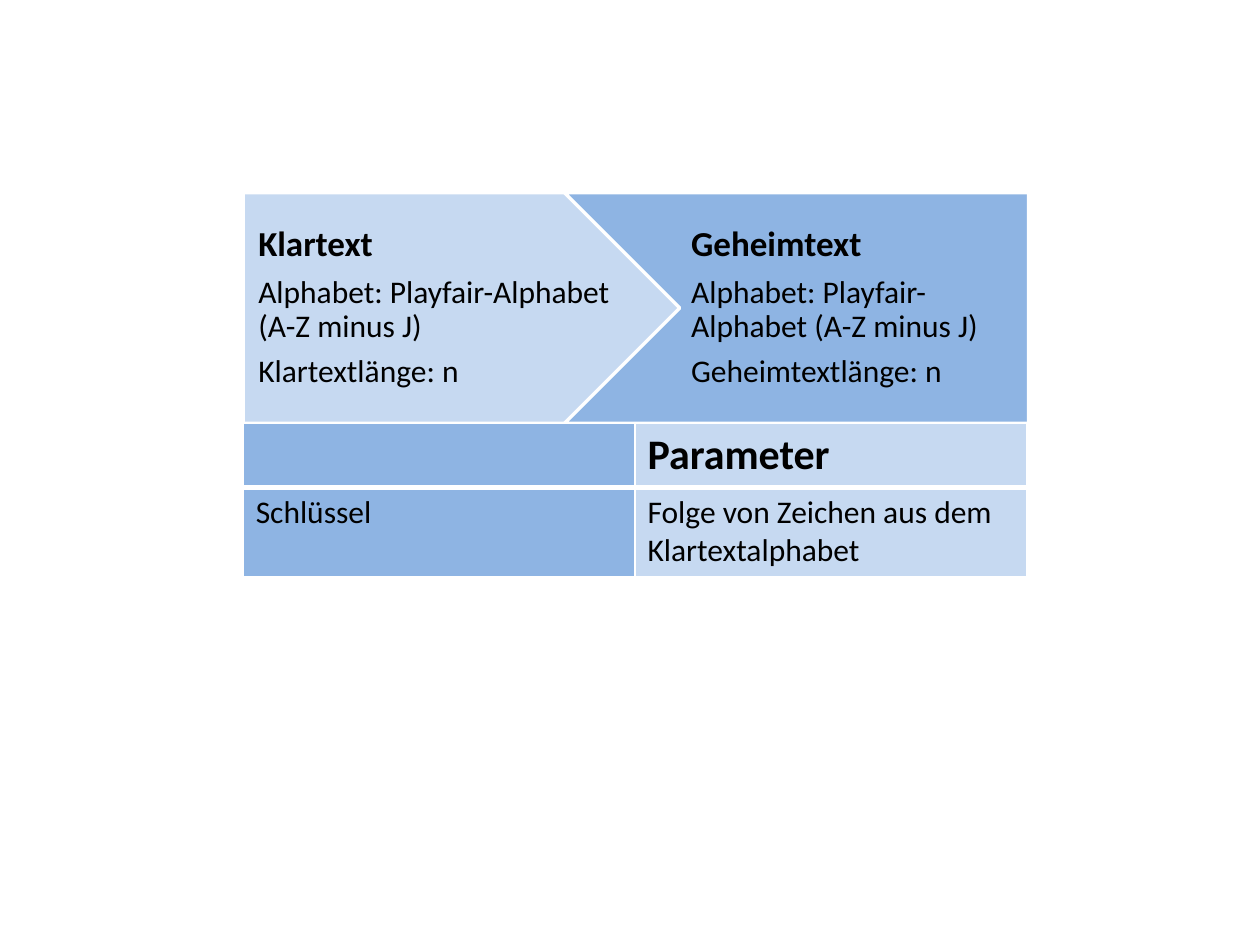
"""Build the slide that describes the Playfair cipher."""
from lxml.etree import SubElement
from pptx import Presentation
from pptx.dml.color import RGBColor
from pptx.enum.shapes import MSO_SHAPE as Preset
from pptx.enum.text import MSO_ANCHOR as Anchor, PP_ALIGN as Align
from pptx.oxml.ns import qn
from pptx.util import Inches, Pt

LIGHT_BLUE = RGBColor(0xC6, 0xD9, 0xF1)
MID_BLUE = RGBColor(0x8E, 0xB4, 0xE3)
WHITE = RGBColor(0xFF, 0xFF, 0xFF)
BLACK = RGBColor(0, 0, 0)
FONT = "Calibri"
LEFT, TOP, ARROW_HEIGHT = 1.93, 1.53, 1.83
COLUMN_WIDTH = 3.11
ROW_HEIGHTS = (0.5, 0.71)
THIN, THICK = 0.96, 3


def format_runs(paragraph, size, bold):
    """Apply the slide font to every run of a paragraph."""
    for run in paragraph.runs:
        run.font.name = FONT
        run.font.size = Pt(size)
        run.font.bold = bold
        run.font.color.rgb = BLACK


def add_filled_shape(shapes, preset, left, top, width, height, color):
    """Add a flat preset shape without an outline."""
    shape = shapes.add_shape(preset, Inches(left), Inches(top), Inches(width), Inches(height))
    shape.shadow.inherit = False
    shape.fill.solid()
    shape.fill.fore_color.rgb = color
    shape.line.fill.background()
    return shape


def add_text_arrow(shapes, preset, left, width, color, inset, lines):
    """Add a white-edged arrow with a bold heading and detail lines."""
    arrow = add_filled_shape(shapes, preset, left, TOP, width, ARROW_HEIGHT, color)
    arrow.adjustments[0] = 0.5
    arrow.line.color.rgb = WHITE
    arrow.line.width = Pt(2)
    frame = arrow.text_frame
    frame.word_wrap = True
    frame.vertical_anchor = Anchor.MIDDLE
    frame.margin_left, frame.margin_right = Inches(inset), Inches(0.03)
    frame.margin_top = frame.margin_bottom = Inches(0.06)
    for index, line in enumerate(lines):
        paragraph = frame.add_paragraph() if index else frame.paragraphs[0]
        paragraph.text = line
        paragraph.alignment = Align.LEFT
        paragraph.line_spacing = 0.9
        paragraph.space_after = Pt(6.3 if index else 7)
        format_runs(paragraph, 18 if index else 20, index == 0)


def set_borders(cell, widths):
    """Draw white cell borders from widths in points per side."""
    properties = cell._tc.get_or_add_tcPr()
    for index, (side, width) in enumerate(widths.items()):
        line = SubElement(properties, qn(f"a:ln{side}"), w=str(Pt(width)))
        fill = SubElement(line, qn("a:solidFill"))
        SubElement(fill, qn("a:srgbClr"), val=str(WHITE))
        properties.insert(index, line)


def add_parameter_table(shapes, rows):
    """Add the table with a large header row."""
    frame = shapes.add_table(
        len(rows), 2, Inches(LEFT), Inches(TOP + ARROW_HEIGHT),
        Inches(2 * COLUMN_WIDTH), Inches(sum(ROW_HEIGHTS)))
    table = frame.table
    for row_index, texts in enumerate(rows):
        header = row_index == 0
        table.rows[row_index].height = Inches(ROW_HEIGHTS[row_index])
        for column_index, text in enumerate(texts):
            cell = table.cell(row_index, column_index)
            cell.text = text
            format_runs(cell.text_frame.paragraphs[0], 24 if header else 18, header)
            cell.fill.solid()
            cell.fill.fore_color.rgb = LIGHT_BLUE if column_index else MID_BLUE
            set_borders(cell, {"L": THIN, "R": THIN,
                               "T": THIN if header else THICK,
                               "B": THICK if header else THIN})


def main():
    """Create and save the presentation."""
    presentation = Presentation()
    presentation.slide_width, presentation.slide_height = Inches(10), Inches(7.5)
    shapes = presentation.slides.add_slide(presentation.slide_layouts[6]).shapes
    arrows = shapes.add_group_shape().shapes
    add_text_arrow(arrows, Preset.PENTAGON, LEFT, 3.94, LIGHT_BLUE, 0.12,
                   ["Klartext", "Alphabet: Playfair-Alphabet \n(A-Z minus J)",
                    "Klartextlänge: n"])
    add_text_arrow(arrows, Preset.CHEVRON, 4.48, 4.61, MID_BLUE, 0.09,
                   ["Geheimtext", "Alphabet: Playfair-Alphabet (A-Z minus J)",
                    "Geheimtextlänge: n"])
    add_filled_shape(shapes, Preset.RECTANGLE, LEFT + 2 * COLUMN_WIDTH, 1.15, 0.94, 2.44, WHITE)
    add_parameter_table(shapes, [
        ("", "Parameter"),
        ("Schlüssel", "Folge von Zeichen aus dem Klartextalphabet")])
    presentation.save("out.pptx")


main()
